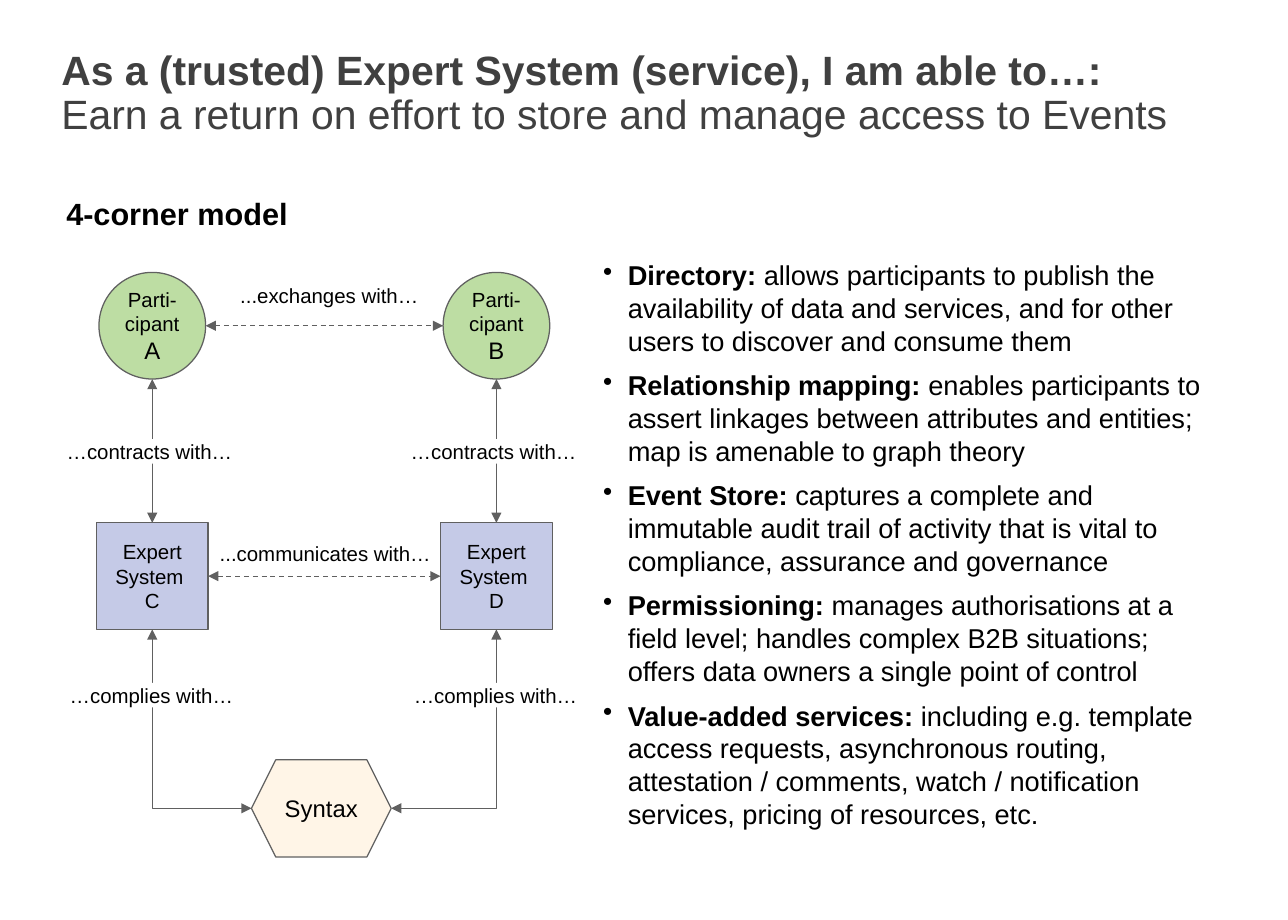
from dataclasses import dataclass

from lxml.etree import SubElement
from pptx import Presentation
from pptx.dml.color import RGBColor
from pptx.enum.dml import MSO_LINE
from pptx.enum.shapes import MSO_CONNECTOR, MSO_SHAPE
from pptx.enum.text import MSO_ANCHOR, PP_ALIGN
from pptx.oxml.ns import qn
from pptx.util import Pt


@dataclass(frozen=True)
class Theme:
    font: str = "Arial"
    title_color: str = "404040"
    text: str = "000000"
    line: str = "606060"
    participant: str = "BDDDA3"
    expert: str = "C5CAE7"
    syntax: str = "FFF5E7"
    paper: str = "FFFFFF"
    title: int = 24
    heading: int = 18
    body: int = 16
    large: int = 14
    label: int = 12
    stroke: float = 0.75


THEME = Theme()

SERVICES = [
    ("Directory:", " allows participants to publish the availability of data and "
     "services, and for other users to discover and consume them"),
    ("Relationship mapping:", " enables participants to assert linkages between "
     "attributes and entities; map is amenable to graph theory"),
    ("Event Store:", " captures a complete and immutable audit trail of activity "
     "that is vital to compliance, assurance and governance"),
    ("Permissioning:", " manages authorisations at a field level; handles complex "
     "B2B situations; offers data owners a single point of control"),
    ("Value-added services:", " including e.g. template access requests, "
     "asynchronous routing, attestation / comments, watch / notification services, "
     "pricing of resources, etc."),
]


def color(value):
    return RGBColor.from_string(value)


def write(sp, paragraphs, size=THEME.label, ink=THEME.text, align=PP_ALIGN.LEFT,
          anchor=MSO_ANCHOR.TOP, inset=(0, 0), wrap=True, spacing=None, before=0,
          bullet=None, indent=0):
    tf = sp.text_frame
    tf.word_wrap = wrap
    tf.vertical_anchor = anchor
    tf.margin_left = tf.margin_right = Pt(inset[0])
    tf.margin_top = tf.margin_bottom = Pt(inset[1])
    for i, runs in enumerate(paragraphs):
        p = tf.add_paragraph() if i else tf.paragraphs[0]
        p.alignment = align
        p.space_before = Pt(before)
        if spacing:
            p.line_spacing = spacing
        if bullet:
            pPr = p._p.get_or_add_pPr()
            pPr.set("marL", str(Pt(indent)))
            pPr.set("indent", str(-Pt(indent)))
            SubElement(pPr, qn("a:buChar"), char=bullet)
        for text, style in runs:
            r = p.add_run()
            r.text = text
            r.font.name = THEME.font
            r.font.size = Pt(style.get("size", size))
            r.font.bold = style.get("bold", False)
            r.font.color.rgb = color(ink)


def add_text(s, box, paragraphs, **fmt):
    sp = s.shapes.add_textbox(*map(Pt, box))
    write(sp, paragraphs, **fmt)
    return sp


def add_label(s, x, y, w, text, filled=False):
    sp = add_text(s, (x, y, w, 14.4), [[(text, {})]], wrap=not filled)
    if filled:
        sp.fill.solid()
        sp.fill.fore_color.rgb = color(THEME.paper)


def add_node(s, kind, cx, cy, w, h, fill, paragraphs):
    sp = s.shapes.add_shape(kind, Pt(cx - w / 2), Pt(cy - h / 2), Pt(w), Pt(h))
    sp.shadow.inherit = False
    sp.fill.solid()
    sp.fill.fore_color.rgb = color(fill)
    sp.line.color.rgb = color(THEME.line)
    sp.line.width = Pt(THEME.stroke)
    write(sp, paragraphs, align=PP_ALIGN.CENTER, anchor=MSO_ANCHOR.MIDDLE,
          inset=(5.76, 5.76))


def add_arrow(s, start, end, dashed=False, corner=False):
    kind = MSO_CONNECTOR.ELBOW if corner else MSO_CONNECTOR.STRAIGHT
    c = s.shapes.add_connector(kind, *map(Pt, (*start, *end)))
    c.line.color.rgb = color(THEME.line)
    c.line.width = Pt(THEME.stroke)
    if dashed:
        c.line.dash_style = MSO_LINE.DASH
    spPr = c._element.spPr
    if corner:
        spPr.find(qn("a:prstGeom")).set("prst", "bentConnector2")
    ln = c.line._get_or_add_ln()
    for tag in ("a:headEnd", "a:tailEnd"):
        SubElement(ln, qn(tag), type="triangle")
    SubElement(spPr, qn("a:effectLst"))


def add_model(s):
    left, right = 89.4, 291.4
    middle = (left + right) / 2 - 1.8
    people_y, expert_y, syntax_y = 191.2, 338.2, 474.5
    circle, box_w, box_h, hex_w, hex_h = 62.6, 65.6, 62.6, 82, 57
    person_foot = people_y + circle / 2
    expert_top, expert_foot = expert_y - box_h / 2, expert_y + box_h / 2

    for x, person, expert, side in ((left, "A", "C", -1), (right, "B", "D", 1)):
        add_node(s, MSO_SHAPE.OVAL, x, people_y, circle, circle, THEME.participant,
                 [[("Parti-cipant ", {}), (person, {"size": THEME.large})]])
        add_node(s, MSO_SHAPE.RECTANGLE, x, expert_y, box_w, box_h, THEME.expert,
                 [[("Expert System ", {})], [(expert, {})]])
        add_arrow(s, (x, expert_top), (x, person_foot))
        add_arrow(s, (middle + side * hex_w / 2, syntax_y), (x, expert_foot), corner=True)
        add_label(s, x - 50.3, 257.8, 98, "…contracts with…", filled=True)
        add_label(s, x - 48.5, 400.8, 96.5, "…complies with…", filled=True)

    add_node(s, MSO_SHAPE.HEXAGON, middle, syntax_y, hex_w, hex_h, THEME.syntax,
             [[("Syntax", {"size": THEME.large})]])
    for y, width in ((people_y, circle), (expert_y, box_w)):
        add_arrow(s, (left + width / 2, y), (right - width / 2, y), dashed=True)
    add_label(s, 141, 166.3, 106, "...exchanges with…")
    add_label(s, 129, 317.5, 130, "...communicates with…")


def main():
    prs = Presentation()
    prs.slide_width, prs.slide_height = Pt(756), Pt(540)
    s = prs.slides.add_slide(prs.slide_layouts[6])
    add_text(s, (36, 30.2, 684, 60),
             [[("As a (trusted) Expert System (service), I am able to…:", {"bold": True})],
              [("Earn a return on effort to store and manage access to Events", {})]],
             size=THEME.title, ink=THEME.title_color, spacing=0.88)
    add_text(s, (38.9, 114.5, 131, 21.6), [[("4-corner model", {"bold": True})]],
             size=THEME.heading, wrap=False)
    add_model(s)
    add_text(s, (347, 148.3, 373, 350),
             [[(name, {"bold": True}), (detail, {})] for name, detail in SERVICES],
             size=THEME.body, before=7, bullet="•", indent=14.4, inset=(7.2, 3.6))
    prs.save("out.pptx")


if __name__ == "__main__":
    main()
